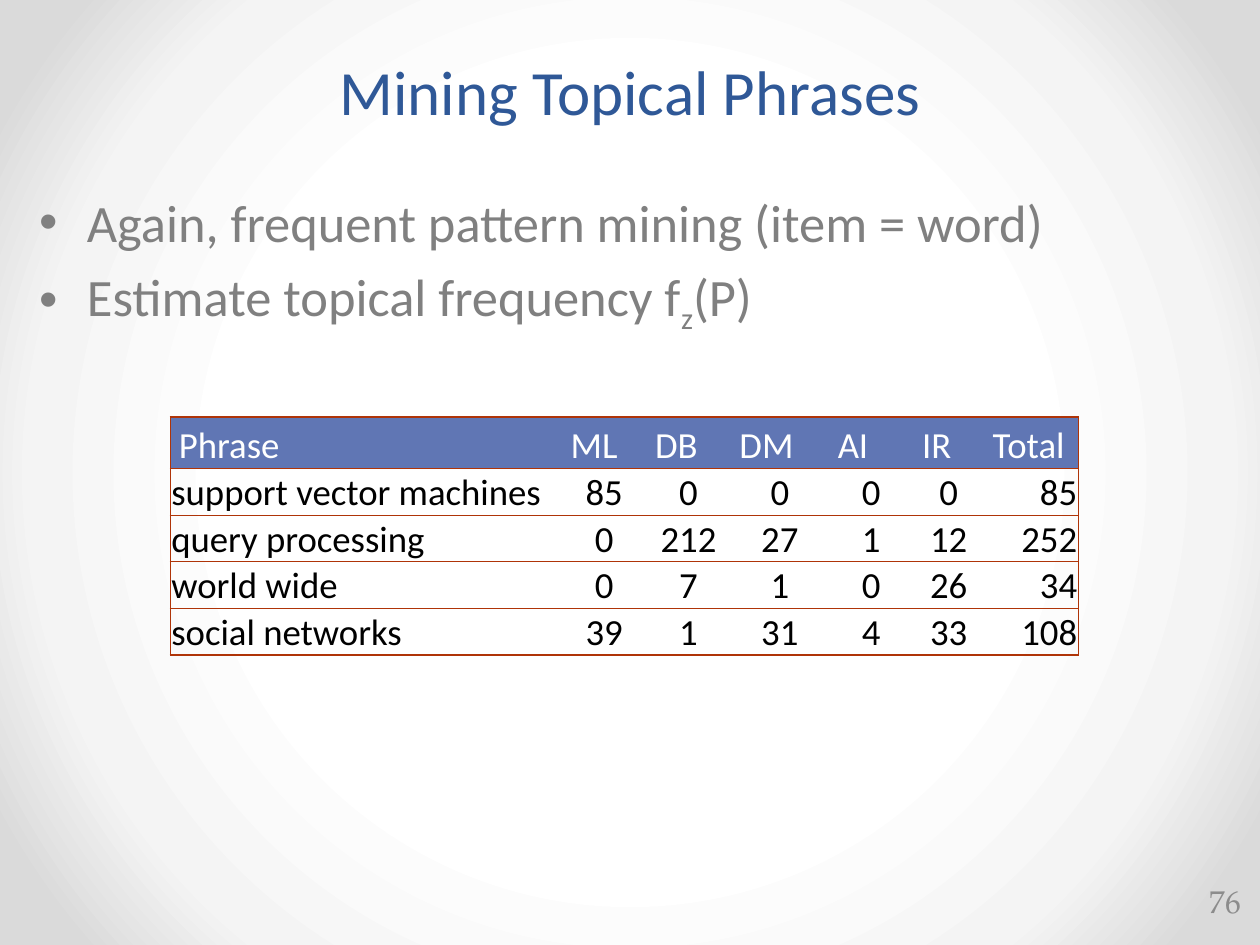
from lxml import etree
from pptx import Presentation
from pptx.dml.color import RGBColor
from pptx.enum.text import MSO_ANCHOR as Anchor, MSO_AUTO_SIZE as AutoSize, PP_ALIGN as Align
from pptx.oxml import parse_xml
from pptx.oxml.ns import nsdecls
from pptx.util import Inches, Pt

BORDER = "AF3408"
HEADER_FILL = "6076B4"


def style_font(font, size, color, name="Calibri"):
    values = {"size": Pt(size), "name": name, "bold": False}
    for attribute, value in values.items():
        setattr(font, attribute, value)
    font.color.rgb = RGBColor.from_string(color)


def place(shape, left, top, width, height):
    values = {"left": left, "top": top, "width": width, "height": height}
    for attribute, value in values.items():
        setattr(shape, attribute, Inches(value))


presentation = Presentation()
presentation.slide_width, presentation.slide_height = Inches(10), Inches(7.5)
slide = presentation.slides.add_slide(presentation.slide_layouts[1])

# Background: white centre fading to grey corners
slide.background.fill.solid()
solid_fill = slide.background._cSld.bg.bgPr[0]
stops = "".join(
    f'<a:gs pos="{position}000"><a:srgbClr val="{color}"/></a:gs>'
    for position, color in [(50, "FFFFFF"), (76, "F4F4F4"), (92, "DADADA")]
)
solid_fill.getparent().replace(solid_fill, parse_xml(
    f'<a:gradFill {nsdecls("a")} rotWithShape="1"><a:gsLst>{stops}</a:gsLst>'
    '<a:path path="circle"><a:fillToRect l="50000" t="50000" r="50000" b="50000"/></a:path>'
    "</a:gradFill>"
))

# Title
title = slide.shapes.title
place(title, 0.5, 0, 9, 1.07)
title.text_frame.text = "Mining Topical Phrases"
title.text_frame.vertical_anchor = Anchor.BOTTOM
title.text_frame.auto_size = AutoSize.NONE
paragraph = title.text_frame.paragraphs[0]
paragraph.alignment = Align.CENTER
paragraph.line_spacing = Pt(58)
style_font(paragraph.runs[0].font, 36, "2F5897")

# Bullets: each is a list of (text, baseline shift in percent)
bullets = [
    [("Again, frequent pattern mining (item = word)", 0)],
    [("Estimate topical frequency f", 0), ("z", -25), ("(P)", 0)],
]
body = slide.placeholders[1]
place(body, 0.21, 1.46, 9.53, 1.27)
body.text_frame.auto_size = AutoSize.NONE
for index, pieces in enumerate(bullets):
    paragraph = body.text_frame.add_paragraph() if index else body.text_frame.paragraphs[0]
    properties = paragraph._p.get_or_add_pPr()
    properties.set("marL", str(Inches(0.38)))
    properties.set("indent", str(Inches(-0.38)))
    paragraph.space_before = Pt(6 if index else 0)
    etree.SubElement(properties, "{http://schemas.openxmlformats.org/drawingml/2006/main}buChar", char="•")
    for text, baseline in pieces:
        run = paragraph.add_run()
        run.text = text
        style_font(run.font, 30, "808080")
        if baseline:
            run._r.get_or_add_rPr().set("baseline", str(baseline * 1000))

# Phrase frequency table
rows = [
    ["Phrase", "ML", "DB", "DM", "AI", "IR", "Total"],
    ["support vector machines", 85, 0, 0, 0, 0, 85],
    ["query processing", 0, 212, 27, 1, 12, 252],
    ["world wide", 0, 7, 1, 0, 26, 34],
    ["social networks", 39, 1, 31, 4, 33, 108],
]
column_widths = [3.11, 0.67, 0.67, 0.78, 0.67, 0.56, 0.75]
last_column = len(column_widths) - 1
header_height, row_height = 0.4, 0.37
table = slide.shapes.add_table(
    len(rows), len(column_widths), Inches(1.35), Inches(3.31),
    Inches(sum(column_widths)), Inches(header_height + 4 * row_height),
).table
table.horz_banding = False
for column, width in zip(table.columns, column_widths):
    column.width = Inches(width)

for row_index, values in enumerate(rows):
    is_header = row_index == 0
    table.rows[row_index].height = Inches(header_height if is_header else row_height)
    for column_index, value in enumerate(values):
        cell = table.cell(row_index, column_index)
        cell.text = str(value)
        side = 0.07 if is_header else 0.01
        cell.margin_left = cell.margin_right = Inches(side)
        cell.margin_top = Inches(0 if is_header else 0.01)
        cell.margin_bottom = 0
        cell.vertical_anchor = Anchor.TOP if is_header else Anchor.BOTTOM
        paragraph = cell.text_frame.paragraphs[0]
        style_font(paragraph.runs[0].font, 21, "FFFFFF" if is_header else "000000")
        if is_header:
            paragraph.line_spacing = 1.15
        if is_header or column_index == 0:
            paragraph.alignment = Align.LEFT
        else:
            paragraph.alignment = Align.RIGHT if column_index == last_column else Align.CENTER

        # Horizontal rules everywhere, vertical ones only on the outside
        visible = {"L": column_index == 0, "R": column_index == last_column, "T": True, "B": True}
        for edge, shown in visible.items():
            fill = f'<a:solidFill><a:srgbClr val="{BORDER}"/></a:solidFill>' if shown else "<a:noFill/>"
            cell._tc.get_or_add_tcPr().append(parse_xml(
                f'<a:ln{edge} {nsdecls("a")} w="{Pt(0.75)}">{fill}</a:ln{edge}>'
            ))
        if is_header:
            cell.fill.solid()
            cell.fill.fore_color.rgb = RGBColor.from_string(HEADER_FILL)
        else:
            cell.fill.background()

# Slide number
number = slide.shapes.add_textbox(Inches(9.34), Inches(6.95), Inches(0.61), Inches(0.4))
number.text_frame.word_wrap = True
number.text_frame.vertical_anchor = Anchor.MIDDLE
paragraph = number.text_frame.paragraphs[0]
paragraph.text = "76"
paragraph.alignment = Align.RIGHT
style_font(paragraph.runs[0].font, 18, "8C8C8C", "TeX Gyre Pagella")

presentation.save("out.pptx")
